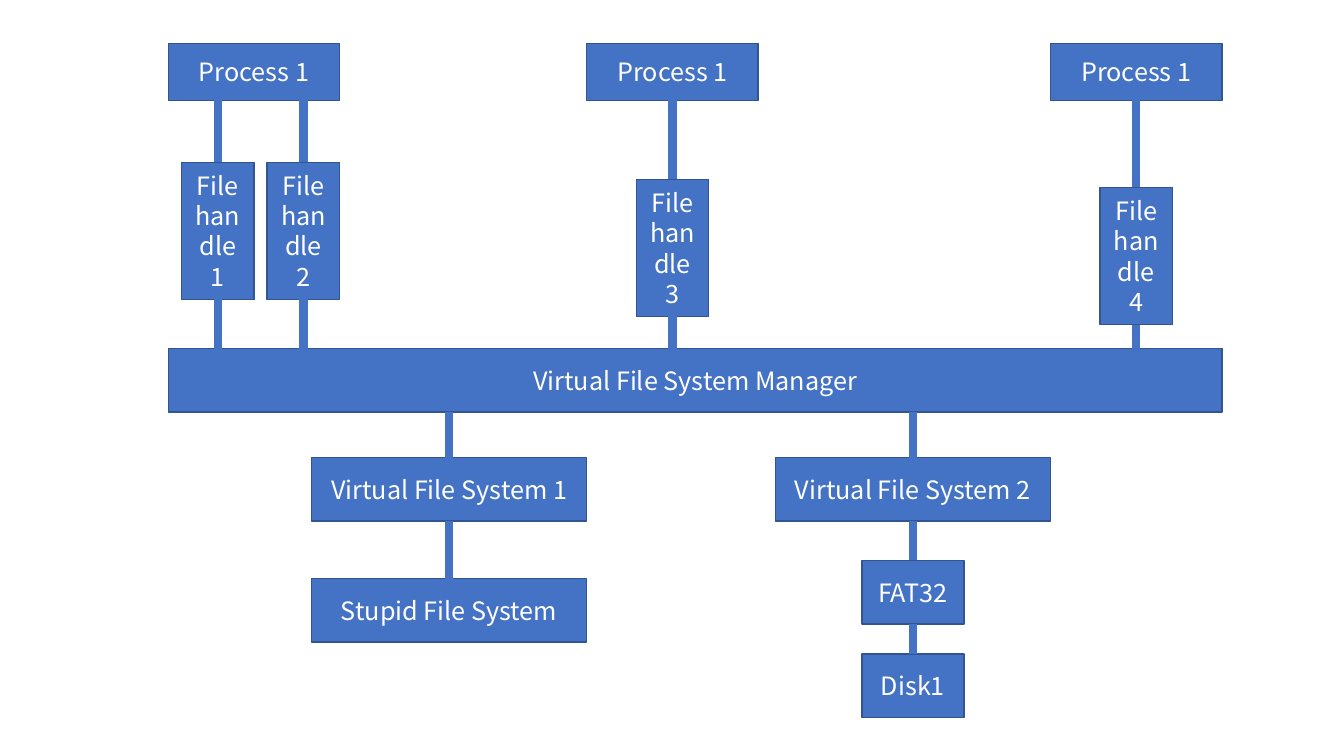
from pptx import Presentation
from pptx.dml.color import RGBColor
from pptx.enum.shapes import MSO_CONNECTOR, MSO_SHAPE
from pptx.enum.text import MSO_ANCHOR, PP_ALIGN
from pptx.oxml.ns import qn
from pptx.util import Inches, Pt
from lxml.etree import SubElement

BLUE = RGBColor(0x44, 0x72, 0xC4)
EDGE = RGBColor(0x32, 0x54, 0x91)
WHITE = RGBColor(0xFF, 0xFF, 0xFF)
FONT = {"name": "Noto Sans CJK SC", "size": Pt(18)}
FRAME = {"word_wrap": True, "vertical_anchor": MSO_ANCHOR.MIDDLE}

# Grid: column centres, and row tops with heights, in inches
COL = {"process 1": 2.52, "handle 1": 2.16, "handle 2": 3.01,
       "middle": 6.67, "right": 11.27,
       "manager": 6.895, "vfs 1": 4.455, "vfs 2": 9.055}
ROW = {"process": (0.43, 0.565), "handle left": (1.61, 1.36),
       "handle middle": (1.78, 1.36), "handle right": (1.86, 1.36),
       "manager": (3.46, 0.63), "vfs": (4.54, 0.63),
       "fat": (5.56, 0.63), "stupid": (5.74, 0.63), "disk": (6.49, 0.63)}
WIDTH = {"process": 1.7, "handle": 0.72, "manager": 10.45,
         "system": 2.73, "store": 1.01}

# Boxes: text, column, row, width
BOXES = [
    ("Process 1", "process 1", "process", "process"),
    ("Process 1", "middle", "process", "process"),
    ("Process 1", "right", "process", "process"),
    ("File handle 1", "handle 1", "handle left", "handle"),
    ("File handle 2", "handle 2", "handle left", "handle"),
    ("File handle 3", "middle", "handle middle", "handle"),
    ("File handle 4", "right", "handle right", "handle"),
    ("Virtual File System Manager", "manager", "manager", "manager"),
    ("Virtual File System 1", "vfs 1", "vfs", "system"),
    ("Virtual File System 2", "vfs 2", "vfs", "system"),
    ("Stupid File System", "vfs 1", "stupid", "system"),
    ("FAT32", "vfs 2", "fat", "store"),
    ("Disk1", "vfs 2", "disk", "store"),
]

# Links: each column joins its rows from top to bottom
CHAINS = [
    ("handle 1", ["process", "handle left", "manager"]),
    ("handle 2", ["process", "handle left", "manager"]),
    ("middle", ["process", "handle middle", "manager"]),
    ("right", ["process", "handle right", "manager"]),
    ("vfs 1", ["manager", "vfs", "stupid"]),
    ("vfs 2", ["manager", "vfs", "fat", "disk"]),
]

prs = Presentation()
prs.slide_width, prs.slide_height = Inches(13.33), Inches(7.5)
s = prs.slides.add_slide(prs.slide_layouts[6])

# Draw the boxes, centred on their columns
for text, col, row, kind in BOXES:
    top, height = ROW[row]
    width = WIDTH[kind]
    sp = s.shapes.add_shape(MSO_SHAPE.RECTANGLE, Inches(COL[col] - width / 2),
                            Inches(top), Inches(width), Inches(height))
    sp.shadow.inherit = False
    sp.fill.solid()
    sp.fill.fore_color.rgb = BLUE
    sp.line.color.rgb = EDGE
    sp.line.width = Pt(1)
    tf = sp.text_frame
    for key, value in FRAME.items():
        setattr(tf, key, value)
    p = tf.paragraphs[0]
    p.alignment = PP_ALIGN.CENTER
    r = p.add_run()
    r.text = text
    for key, value in FONT.items():
        setattr(r.font, key, value)
    r.font.color.rgb = WHITE

# Draw the links between neighbouring rows
for col, rows in CHAINS:
    x = Inches(COL[col])
    for upper, lower in zip(rows, rows[1:]):
        cn = s.shapes.add_connector(MSO_CONNECTOR.STRAIGHT,
                                    x, Inches(sum(ROW[upper])),
                                    x, Inches(ROW[lower][0]))
        cn.line.color.rgb = BLUE
        cn.line.width = Pt(6)
        SubElement(cn._element.spPr, qn("a:effectLst"))

prs.save("out.pptx")
